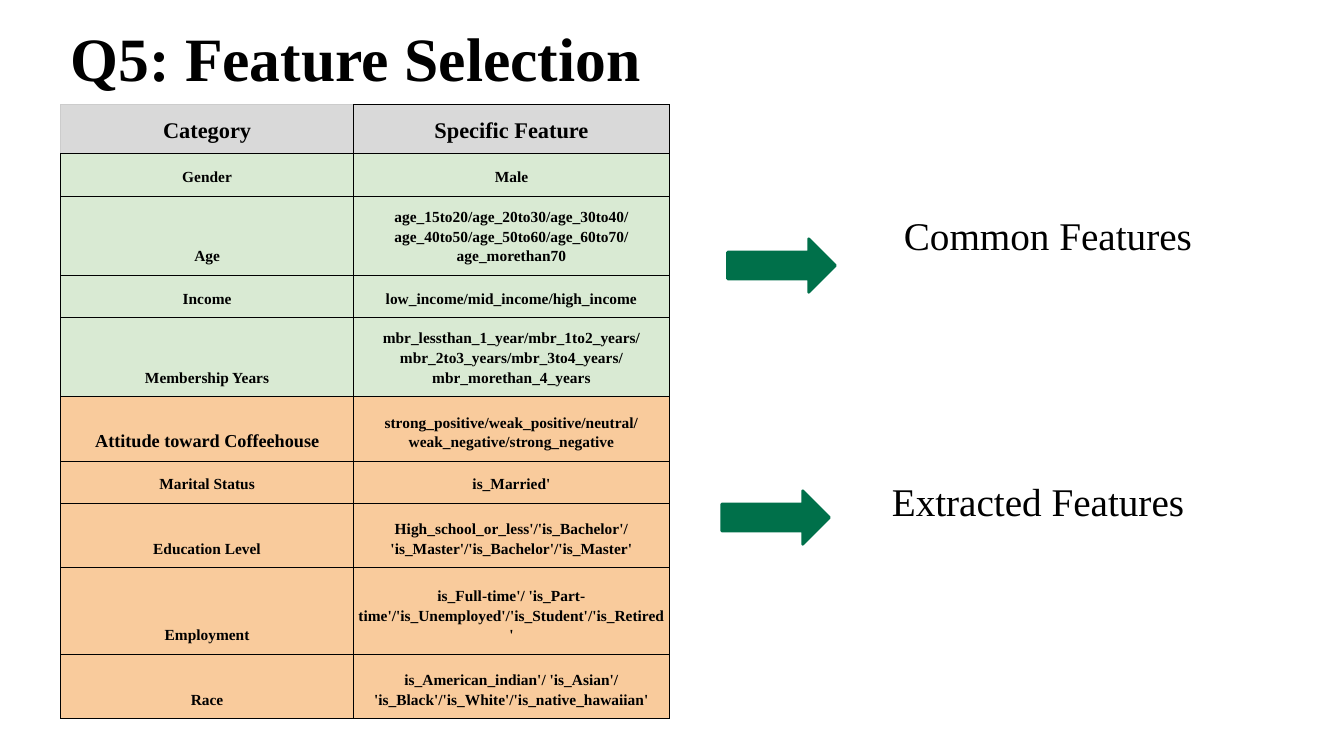
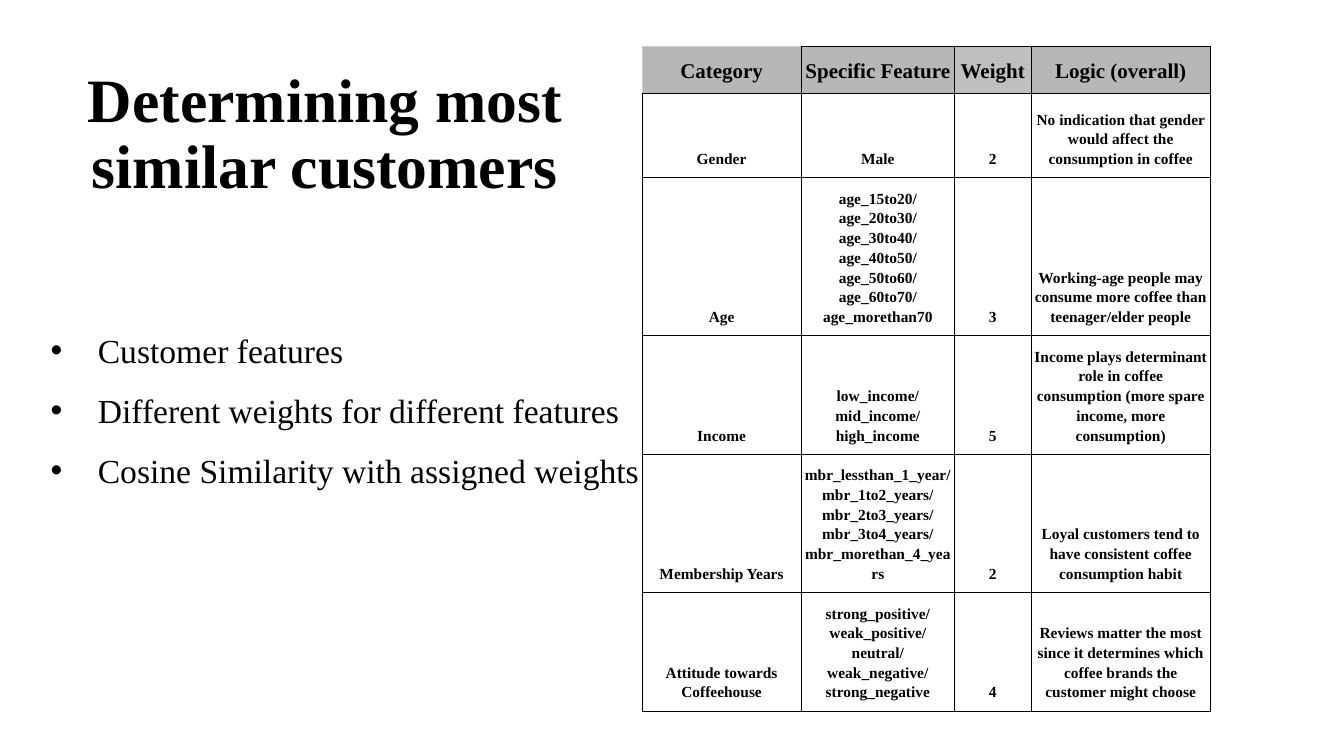
from lxml.etree import SubElement
from pptx import Presentation
from pptx.dml.color import RGBColor
from pptx.enum.shapes import MSO_SHAPE as Shape
from pptx.enum.text import MSO_ANCHOR as Anchor, MSO_AUTO_SIZE as AutoSize, PP_ALIGN as Align
from pptx.oxml.ns import qn
from pptx.util import Pt

FONT = "Times New Roman"
BLACK, WHITE, PALE_LINE = "000000", "FFFFFF", "CCCCCC"
GREEN, ORANGE, ARROW_GREEN = "D9EAD3", "F9CB9C", "00704A"
LIGHT_GRAY, MID_GRAY, WEIGHT_GRAY = "D9D9D9", "B7B7B7", "BFBFBF"
CELL_SIZE = 11

AGES = "age_15to20/age_20to30/age_30to40/age_40to50/age_50to60/age_60to70/age_morethan70"
INCOMES = "low_income/mid_income/high_income"
MEMBERSHIPS = "mbr_lessthan_1_year/mbr_1to2_years/mbr_2to3_years/mbr_3to4_years/mbr_morethan_4_years"
ATTITUDES = "strong_positive/weak_positive/neutral/weak_negative/strong_negative"

SELECTION = {
    "place": (43.2, 74.9),
    "widths": (209.5, 225.4),
    "header_size": 16,
    "header_fills": (LIGHT_GRAY, LIGHT_GRAY),
    "header": ("Category", "Specific Feature"),
    "sizes": {(5, 0): 13},
    # row height, row fill, cell texts
    "rows": [
        (30.24, GREEN, ("Gender", "Male")),
        (46, GREEN, ("Age", AGES)),
        (30.24, GREEN, ("Income", INCOMES)),
        (46, GREEN, ("Membership Years", MEMBERSHIPS)),
        (46, ORANGE, ("Attitude toward Coffeehouse", ATTITUDES)),
        (30.24, ORANGE, ("Marital Status", "is_Married'")),
        (46, ORANGE, ("Education Level",
                      "High_school_or_less'/'is_Bachelor'/ 'is_Master'/'is_Bachelor'/'is_Master'")),
        (61.9, ORANGE, ("Employment",
                        "is_Full-time'/ 'is_Part-time'/'is_Unemployed'/'is_Student'/'is_Retired'")),
        (46, ORANGE, ("Race",
                      "is_American_indian'/ 'is_Asian'/ 'is_Black'/'is_White'/'is_native_hawaiian'")),
    ],
}

WEIGHTS = {
    "place": (458.6, 33.1),
    "widths": (113.76, 109.44, 54.72, 128.16),
    "header_size": 15,
    "header_fills": (MID_GRAY, MID_GRAY, WEIGHT_GRAY, MID_GRAY),
    "header": ("Category", "Specific Feature", "Weight", "Logic (overall)"),
    "sizes": {},
    "rows": [
        (60.5, None, ("Gender", "Male", "2",
                      "No indication that gender would affect the consumption in coffee")),
        (90.7, None, ("Age", AGES, "3",
                      "Working-age people may consume more coffee than teenager/elder people")),
        (81.4, None, ("Income", INCOMES, "5",
                      "Income plays determinant role in coffee consumption "
                      "(more spare income, more consumption)")),
        (90.7, None, ("Membership Years", MEMBERSHIPS, "2",
                      "Loyal customers tend to have consistent coffee consumption habit")),
        (75.6, None, ("Attitude towards Coffeehouse", ATTITUDES, "4",
                      "Reviews matter the most since it determines which coffee brands "
                      "the customer might choose")),
    ],
}
HEADER_HEIGHT = 30.24

# label, label left and top, arrow left and top
FEATURE_GROUPS = [
    ("Common Features", (638.6, 151.2), (519.8, 170.6)),
    ("Extracted Features", (630, 341.3), (515.5, 350.6)),
]
METHOD = [
    "Customer features",
    "Different weights for different features",
    "Cosine Similarity with assigned weights",
]


def rgb(code):
    return RGBColor.from_string(code)


def box(*lengths):
    return [Pt(length) for length in lengths]


def style(paragraph, size, align, bold=False, spacing=0.9, before=0):
    paragraph.alignment = align
    paragraph.line_spacing = spacing
    paragraph.space_before = Pt(before)
    font = paragraph.font
    font.name, font.size, font.bold = FONT, Pt(size), bold
    font.color.rgb = rgb(BLACK)


def move(part, bounds):
    part.left, part.top, part.width, part.height = box(*bounds)


def new_slide(deck, layout, title, bounds, align):
    slide = deck.slides.add_slide(deck.slide_layouts[layout])
    heading = slide.shapes.title
    move(heading, bounds)
    frame = heading.text_frame
    frame.text = title
    frame.auto_size = AutoSize.NONE
    frame.vertical_anchor = Anchor.MIDDLE
    style(frame.paragraphs[0], 44, align, bold=True)
    return slide


def add_borders(cell, colors):
    """Put the left, right, top and bottom lines ahead of the cell's fill."""
    properties = cell._tc.get_or_add_tcPr()
    for index, (side, color) in enumerate(zip(("lnL", "lnR", "lnT", "lnB"), colors)):
        line = SubElement(properties, qn(f"a:{side}"), w=str(Pt(0.75)))
        fill = SubElement(line, qn("a:solidFill"))
        SubElement(fill, qn("a:srgbClr"), val=color)
        properties.insert(index, line)


def fill_cell(cell, text, size, fill, borders):
    cell.margin_left = cell.margin_right = Pt(2.25)
    cell.margin_top = cell.margin_bottom = Pt(7.2)
    cell.vertical_anchor = Anchor.BOTTOM
    cell.text = text
    style(cell.text_frame.paragraphs[0], size, Align.CENTER, bold=True, spacing=1.15)
    if fill:
        cell.fill.solid()
        cell.fill.fore_color.rgb = rgb(fill)
    else:
        cell.fill.background()
    add_borders(cell, borders)


def add_feature_table(slide, data):
    widths = data["widths"]
    heights = [HEADER_HEIGHT] + [height for height, _, _ in data["rows"]]
    texts = [data["header"]] + [row for _, _, row in data["rows"]]
    fills = [data["header_fills"]] + [[fill] * len(widths) for _, fill, _ in data["rows"]]
    bounds = box(*data["place"], sum(widths), sum(heights))
    table = slide.shapes.add_table(len(heights), len(widths), *bounds).table
    table.first_row = table.horz_banding = False
    for column, width in zip(table.columns, widths):
        column.width = Pt(width)
    for r, height in enumerate(heights):
        table.rows[r].height = Pt(height)
        default_size = CELL_SIZE if r else data["header_size"]
        for c, text in enumerate(texts[r]):
            outer = PALE_LINE if (r, c) == (0, 0) else BLACK
            fill_cell(table.cell(r, c), text, data["sizes"].get((r, c), default_size),
                      fills[r][c], (outer, BLACK, outer, BLACK))


def add_feature_group(slide, label, label_place, arrow_place):
    frame = slide.shapes.add_textbox(*box(*label_place, 244, 87.8)).text_frame
    frame.word_wrap = True
    frame.text = label
    style(frame.paragraphs[0], 28, Align.JUSTIFY)
    arrow = slide.shapes.add_shape(Shape.RIGHT_ARROW, *box(*arrow_place, 77, 38.2))
    arrow.shadow.inherit = False
    arrow.fill.solid()
    arrow.fill.fore_color.rgb = arrow.line.color.rgb = rgb(ARROW_GREEN)
    arrow.line.width = Pt(2)


def add_bullet(paragraph):
    properties = paragraph._p.get_or_add_pPr()
    properties.set("marL", str(Pt(49.7)))
    properties.set("indent", str(Pt(-33.8)))
    color = SubElement(properties, qn("a:buClr"))
    SubElement(color, qn("a:srgbClr"), val=BLACK)
    SubElement(properties, qn("a:buFont"), typeface="Arial")
    SubElement(properties, qn("a:buChar"), char="•")


def fill_list(body, items):
    frame = body.text_frame
    frame.auto_size = AutoSize.NONE
    frame.vertical_anchor = Anchor.TOP
    frame.text = "\n".join(items)
    for index, paragraph in enumerate(frame.paragraphs):
        add_bullet(paragraph)
        style(paragraph, 24, Align.JUSTIFY, before=17 if index else 0)


def main():
    deck = Presentation()
    deck.slide_width, deck.slide_height = Pt(960), Pt(540)
    background = deck.slide_master.background.fill
    background.solid()
    background.fore_color.rgb = rgb(WHITE)

    selection = new_slide(deck, 5, "Q5: Feature Selection", (43.2, 20.2, 795, 47.5), Align.LEFT)
    add_feature_table(selection, SELECTION)
    for group in FEATURE_GROUPS:
        add_feature_group(selection, *group)

    similarity = new_slide(deck, 1, "Determining most similar customers",
                           (29.5, 33.1, 405.4, 127.4), Align.CENTER)
    body = similarity.placeholders[1]
    move(body, (13, 235, 466, 168))
    fill_list(body, METHOD)
    add_feature_table(similarity, WEIGHTS)

    deck.save("out.pptx")


if __name__ == "__main__":
    main()
